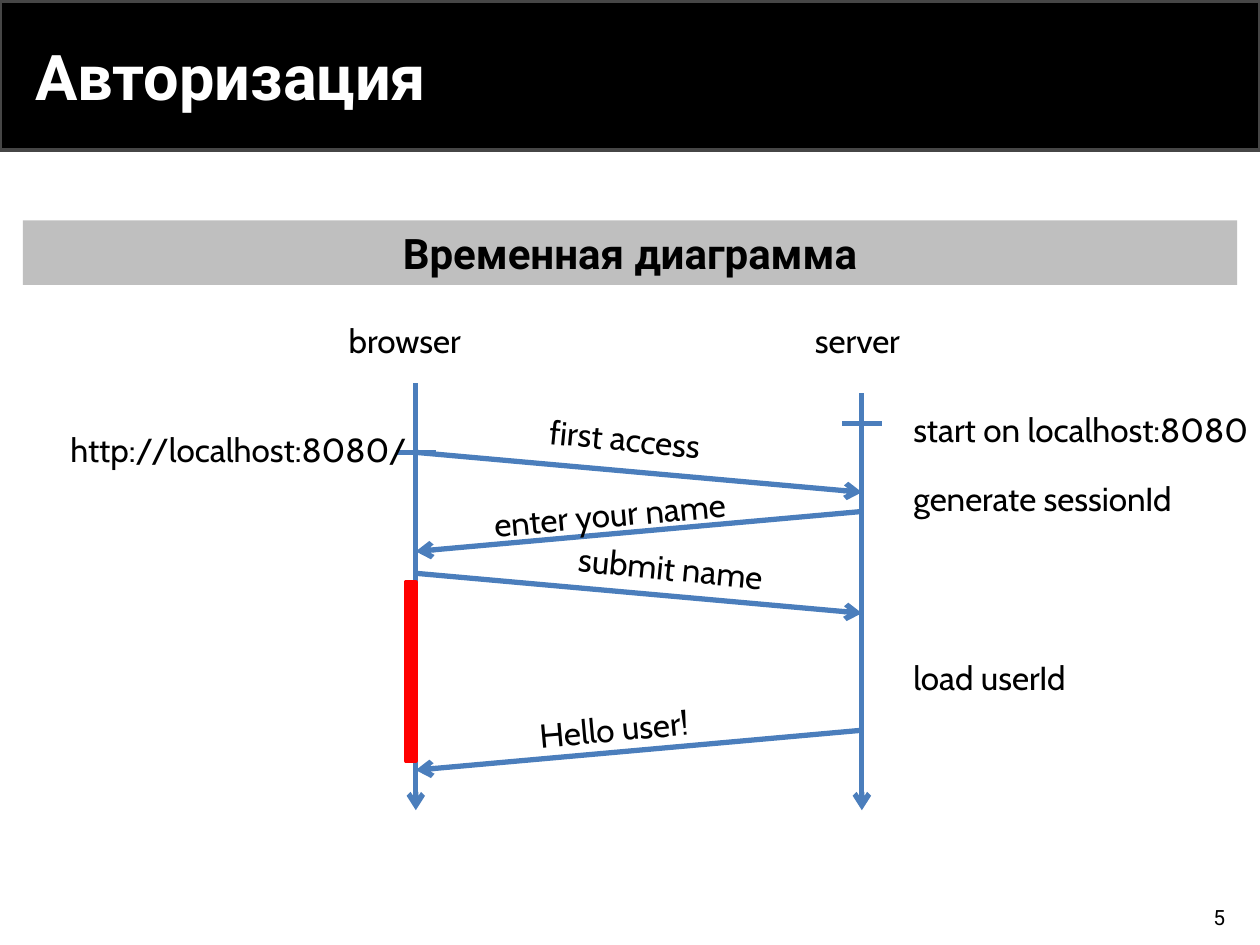
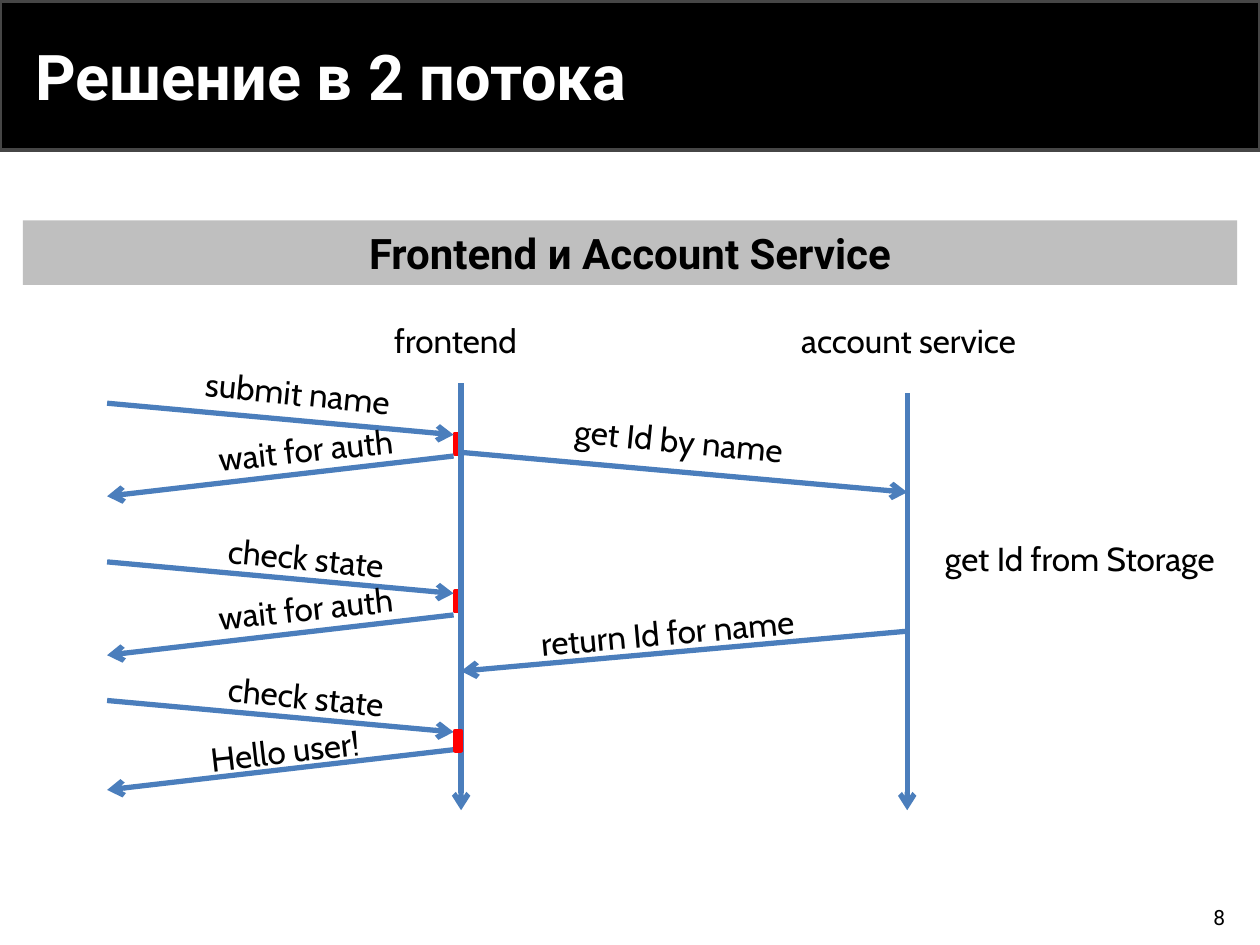
from dataclasses import dataclass

from lxml import etree
from pptx import Presentation
from pptx.dml.color import RGBColor
from pptx.enum.shapes import MSO_CONNECTOR, MSO_SHAPE
from pptx.enum.text import MSO_ANCHOR, PP_ALIGN
from pptx.oxml.ns import qn
from pptx.util import Pt

RECTANGLE = MSO_SHAPE.RECTANGLE
STRAIGHT = MSO_CONNECTOR.STRAIGHT
MIDDLE, TOP = MSO_ANCHOR.MIDDLE, MSO_ANCHOR.TOP
LEFT, CENTER, RIGHT = PP_ALIGN.LEFT, PP_ALIGN.CENTER, PP_ALIGN.RIGHT

BLACK = RGBColor(0x00, 0x00, 0x00)
WHITE = RGBColor(0xFF, 0xFF, 0xFF)
BAND_EDGE = RGBColor(0x46, 0x46, 0x46)
SUBTITLE_GREY = RGBColor(0xBF, 0xBF, 0xBF)
FLOW_BLUE = RGBColor(0x4B, 0x7E, 0xBC)
BUSY_RED = RGBColor(0xFF, 0x00, 0x00)

HEADING_FONT, DIAGRAM_FONT = "Roboto", "Cabin"

# Shared diagram measures, in points
NAME_TOP = 179.3
LABEL_HEIGHT = 30.2
LIFELINE_BOTTOM = 463
TICK_HALF = 11.3
REQUEST_TILT, REPLY_TILT = 5.7, 354.9


@dataclass(frozen=True)
class Style:
    font: str
    size: float
    color: RGBColor = BLACK
    bold: bool = False
    align: int = LEFT
    anchor: int = TOP


TITLE_STYLE = Style(HEADING_FONT, 36, WHITE, True, LEFT, MIDDLE)
SUBTITLE_STYLE = Style(HEADING_FONT, 24, BLACK, True, CENTER, MIDDLE)
NUMBER_STYLE = Style(HEADING_FONT, 12, BLACK, False, RIGHT, MIDDLE)
DIAGRAM_STYLE = Style(DIAGRAM_FONT, 19)


@dataclass(frozen=True)
class Label:
    text: str
    left: float
    top: float
    width: float
    tilt: float = 0


@dataclass(frozen=True)
class Lifeline:
    x: float
    top: float
    name: Label


@dataclass(frozen=True)
class Channel:
    """Two sides that exchange messages; arrows fall by a fixed drop."""
    left: float
    right: float
    request_drop: float = 22.8
    reply_drop: float = 22.8


@dataclass(frozen=True)
class Message:
    channel: Channel
    y: float
    label: Label
    is_reply: bool = False


@dataclass(frozen=True)
class BusyBar:
    left: float
    top: float
    width: float
    height: float
    in_front: bool = True


@dataclass(frozen=True)
class SequenceSlide:
    title: str
    subtitle: str
    number: str
    lifelines: tuple[Lifeline, ...]
    messages: tuple[Message, ...]
    notes: tuple[Label, ...]
    bars: tuple[BusyBar, ...]
    ticks: tuple[tuple[float, float], ...] = ()


def request(channel: Channel, y: float, text: str, left: float, top: float,
            width: float) -> Message:
    return Message(channel, y, Label(text, left, top, width, REQUEST_TILT))


def reply(channel: Channel, y: float, text: str, left: float, top: float,
          width: float, tilt: float = REPLY_TILT) -> Message:
    return Message(channel, y, Label(text, left, top, width, tilt), True)


# Content
WEB = Channel(237.6, 492.5)
ACCOUNT = Channel(263.5, 518.4)
CLIENT = Channel(61.2, 259.2, 18, 23)

SLIDES = (
    SequenceSlide(
        "Авторизация", "Временная диаграмма", "5",
        lifelines=(
            Lifeline(WEB.left, 218.9, Label("browser", 192.2, NAME_TOP, 90.7)),
            Lifeline(WEB.right, 224.6, Label("server", 458.6, NAME_TOP, 90.7)),
        ),
        messages=(
            request(WEB, 258.5, "first access", 306.7, 236.2, 113.8),
            reply(WEB, 292.3, "enter your name", 275, 277.9, 166.3),
            request(WEB, 327.6, "submit name", 323.3, 310.3, 135.4),
            reply(WEB, 417.3, "Hello user!", 301, 400.3, 121),
        ),
        notes=(
            Label("http://localhost:8080/", 33.1, 241.9, 254.9),
            Label("start on localhost:8080", 514.8, 230.4, 218.2),
            Label("generate sessionId", 514.8, 270, 218.2),
            Label("load userId", 514.8, 372.2, 218.2),
        ),
        bars=(BusyBar(231.8, 332.6, 5.8, 102.2),),
        ticks=((WEB.right, 241.9), (WEB.left, 258.5)),
    ),
    SequenceSlide(
        "Решение в 2 потока", "Frontend и Account Service", "8",
        lifelines=(
            Lifeline(ACCOUNT.left, 218.9,
                     Label("frontend", 218.2, NAME_TOP, 90.7)),
            Lifeline(ACCOUNT.right, 224.6,
                     Label("account service", 450.7, NAME_TOP, 147.6)),
        ),
        messages=(
            request(ACCOUNT, 258.5, "get Id by name", 321.1, 237.6, 152.6),
            reply(ACCOUNT, 360.7, "return Id for name", 301.7, 344.9, 189.4),
            request(CLIENT, 230.4, "submit name", 110.2, 210.2, 135.4),
            reply(CLIENT, 260.6, "wait for auth", 117.4, 239, 166.3, 354),
            request(CLIENT, 321.1, "check state", 123.1, 305.3, 135.4),
            reply(CLIENT, 351.4, "wait for auth", 117.4, 329.8, 166.3, 354),
            request(CLIENT, 400.3, "check state", 123.1, 384.5, 135.4),
            reply(CLIENT, 428.4, "Hello user!", 113, 412.6, 121, 353.5),
        ),
        notes=(Label("get Id from Storage", 532.8, 303.8, 187.2),),
        bars=(
            BusyBar(259.9, 247.7, 3.6, 11.8, in_front=False),
            BusyBar(259.9, 337.7, 3.6, 11.8, in_front=False),
            BusyBar(259.9, 417.6, 3.6, 11.8),
        ),
    ),
)


# Drawing helpers
def write(shape, text: str, style: Style) -> None:
    frame = shape.text_frame
    frame.text = text
    frame.word_wrap = True
    frame.vertical_anchor = style.anchor
    paragraph = frame.paragraphs[0]
    paragraph.alignment = style.align
    font = paragraph.runs[0].font
    font.name, font.size, font.bold = style.font, Pt(style.size), style.bold
    font.color.rgb = style.color


def add_text(slide, text: str, style: Style, left: float, top: float,
             width: float, height: float, tilt: float = 0) -> None:
    box = slide.shapes.add_textbox(Pt(left), Pt(top), Pt(width), Pt(height))
    box.rotation = tilt
    write(box, text, style)


def add_label(slide, label: Label) -> None:
    add_text(slide, label.text, DIAGRAM_STYLE, label.left, label.top,
             label.width, LABEL_HEIGHT, label.tilt)


def add_block(slide, left: float, top: float, width: float, height: float,
              fill: RGBColor, edge: RGBColor | None = None):
    block = slide.shapes.add_shape(RECTANGLE, Pt(left), Pt(top), Pt(width),
                                   Pt(height))
    block.shadow.inherit = False
    block.fill.solid()
    block.fill.fore_color.rgb = fill
    if edge is None:
        block.line.fill.background()
    else:
        block.line.color.rgb = edge
        block.line.width = Pt(2)
    return block


def add_line(slide, x1: float, y1: float, x2: float, y2: float,
             arrow: bool = True) -> None:
    line = slide.shapes.add_connector(STRAIGHT, Pt(x1), Pt(y1), Pt(x2), Pt(y2))
    line.line.color.rgb = FLOW_BLUE
    line.line.width = Pt(3)
    if arrow:
        etree.SubElement(line.line._get_or_add_ln(), qn("a:tailEnd"),
                         type="arrow")
    etree.SubElement(line._element.spPr, qn("a:effectLst"))


def add_message(slide, message: Message) -> None:
    channel = message.channel
    if message.is_reply:
        start, end, drop = channel.right, channel.left, channel.reply_drop
    else:
        start, end, drop = channel.left, channel.right, channel.request_drop
    add_line(slide, start, message.y, end, message.y + drop)
    add_label(slide, message.label)


def add_bars(slide, bars: tuple[BusyBar, ...], in_front: bool) -> None:
    for bar in bars:
        if bar.in_front == in_front:
            add_block(slide, bar.left, bar.top, bar.width, bar.height,
                      BUSY_RED, BUSY_RED)


def add_frame(slide, content: SequenceSlide) -> None:
    """Title band, subtitle strip and slide number."""
    add_block(slide, 0, 0.7, 720, 85, BLACK, BAND_EDGE)
    strip = add_block(slide, 13, 126, 694, 36.8, SUBTITLE_GREY)
    write(strip, content.subtitle, SUBTITLE_STYLE)
    strip.text_frame.paragraphs[0].space_after = Pt(6)
    add_text(slide, content.title, TITLE_STYLE, 13, 7.2, 586.8, 72)
    add_text(slide, content.number, NUMBER_STYLE, 542.9, 513.4, 164.2, 21.6)


def draw_slide(slide, content: SequenceSlide) -> None:
    add_frame(slide, content)
    add_bars(slide, content.bars, in_front=False)
    for lifeline in content.lifelines:
        add_line(slide, lifeline.x, lifeline.top, lifeline.x, LIFELINE_BOTTOM)
        add_label(slide, lifeline.name)
    for x, y in content.ticks:
        add_line(slide, x - TICK_HALF, y, x + TICK_HALF, y, arrow=False)
    for note in content.notes:
        add_label(slide, note)
    for message in content.messages:
        add_message(slide, message)
    add_bars(slide, content.bars, in_front=True)


def main() -> None:
    deck = Presentation()
    deck.slide_width, deck.slide_height = Pt(720), Pt(540)
    blank = deck.slide_layouts[6]
    for content in SLIDES:
        draw_slide(deck.slides.add_slide(blank), content)
    deck.save("out.pptx")


if __name__ == "__main__":
    main()
